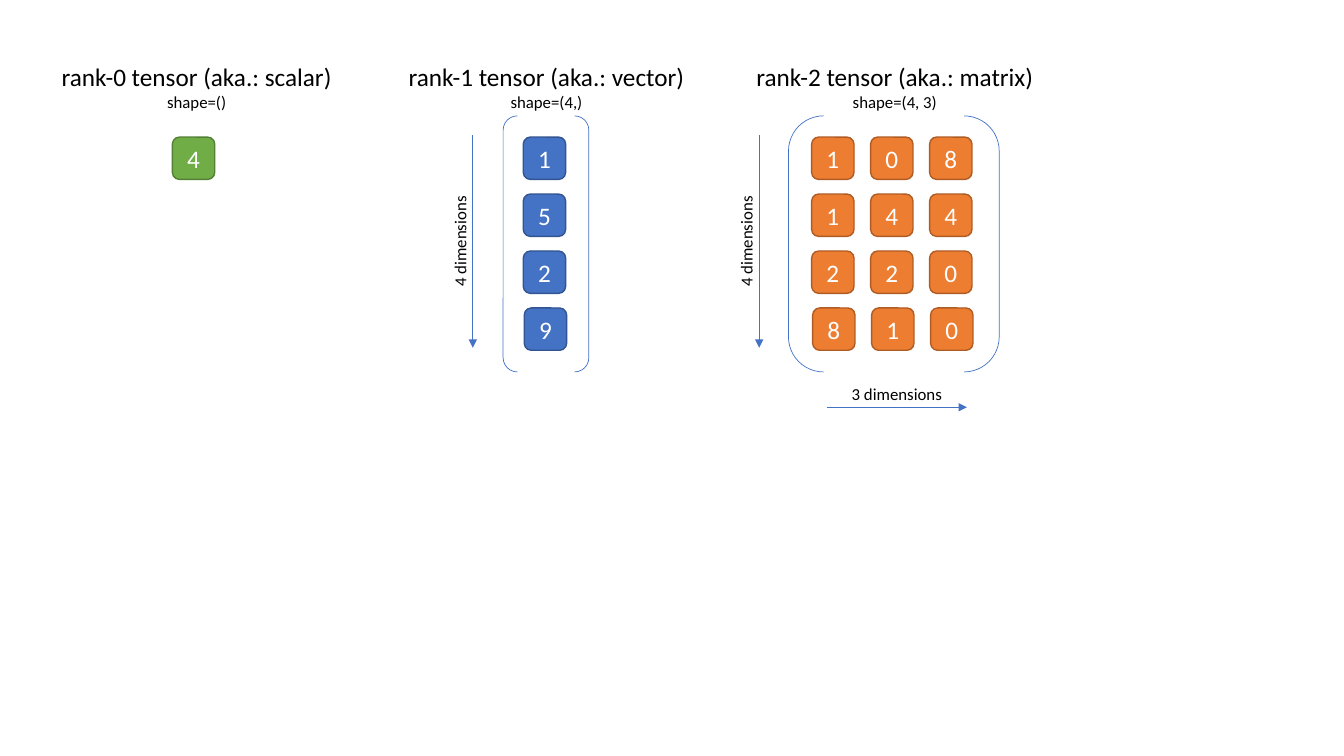
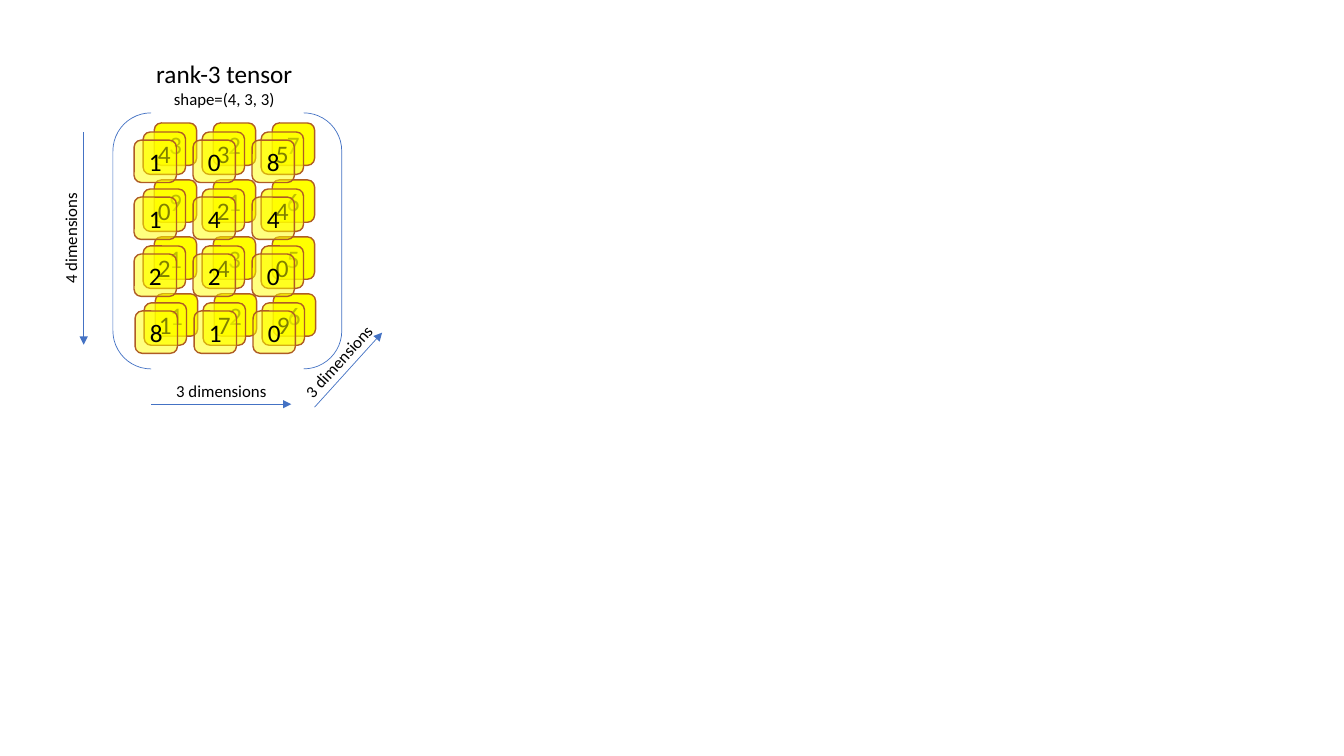
from math import atan2, cos, degrees, sin

from lxml import etree
from pptx import Presentation
from pptx.dml.color import RGBColor
from pptx.enum.shapes import MSO_CONNECTOR, MSO_SHAPE
from pptx.enum.text import MSO_ANCHOR, MSO_AUTO_SIZE, PP_ALIGN
from pptx.oxml.ns import qn
from pptx.util import Inches, Pt

ROUND = MSO_SHAPE.ROUNDED_RECTANGLE
BRACKET = MSO_SHAPE.DOUBLE_BRACKET
STRAIGHT = MSO_CONNECTOR.STRAIGHT
TOP, MIDDLE = MSO_ANCHOR.TOP, MSO_ANCHOR.MIDDLE
FIT = MSO_AUTO_SIZE.SHAPE_TO_FIT_TEXT
CENTER = PP_ALIGN.CENTER

BLACK = RGBColor(0x00, 0x00, 0x00)
WHITE = RGBColor(0xFF, 0xFF, 0xFF)
BLUE = RGBColor(0x44, 0x72, 0xC4)
NAVY = RGBColor(0x32, 0x54, 0x91)
GREEN = RGBColor(0x70, 0xAD, 0x47)
MOSS = RGBColor(0x53, 0x80, 0x35)
ORANGE = RGBColor(0xED, 0x7D, 0x31)
RUST = RGBColor(0xAF, 0x5C, 0x24)
YELLOW = RGBColor(0xFF, 0xFF, 0x00)

FONT = "Calibri"
BIG, SMALL = 18, 12
CELL = 0.42
PITCH_X, PITCH_Y = 0.585, 0.565
NUDGE = 0.01
LABEL_W, LABEL_H, LABEL_GAP = 1.11, 0.3, 0.13
HEAD_H = 0.61

FRONT = ["108", "144", "220", "810"]

SLIDES = [
    [
        {
            "head": ("rank-0 tensor (aka.: scalar)", "shape=()"),
            "box": (0.49, 0.56, 2.92),
            "style": (GREEN, MOSS, WHITE),
            "layers": [(1.71, 1.36, 100, ["4"])],
            "bracket": None,
            "arrows": [],
        },
        {
            "head": ("rank-1 tensor (aka.: vector)", "shape=(4,)"),
            "box": (3.93, 0.56, 2.98),
            "style": (BLUE, NAVY, WHITE),
            "layers": [(5.19, 1.36, 100, ["1", "5", "2", "9"])],
            "bracket": (4.99, 1.15, 0.85, 2.54),
            "arrows": [("4 dimensions", 4.69, 1.34, 4.69, 3.45)],
        },
        {
            "head": ("rank-2 tensor (aka.: matrix)", "shape=(4, 3)"),
            "box": (7.38, 0.56, 2.99),
            "style": (ORANGE, RUST, WHITE),
            "layers": [(8.05, 1.36, 100, FRONT)],
            "bracket": (7.82, 1.15, 2.09, 2.54),
            "arrows": [
                ("4 dimensions", 7.53, 1.34, 7.53, 3.45),
                ("3 dimensions", 8.2, 4.04, 9.59, 4.04),
            ],
        },
    ],
    [
        {
            "head": ("rank-3 tensor", "shape=(4, 3, 3)"),
            "box": (1.41, 0.53, 1.63),
            "style": (YELLOW, RUST, BLACK),
            "layers": [
                (1.53, 1.22, 100, ["327", "916", "135", "126"]),
                (1.42, 1.31, 74, ["435", "024", "240", "179"]),
                (1.33, 1.39, 50, FRONT),
            ],
            "bracket": (1.12, 1.12, 2.27, 2.54),
            "arrows": [
                ("4 dimensions", 0.83, 1.31, 0.83, 3.42),
                ("3 dimensions", 1.5, 4.01, 2.89, 4.01),
                ("3 dimensions", 3.12, 4.04, 3.79, 3.3),
            ],
        },
    ],
]


def assign(item, values):
    for name, value in values.items():
        setattr(item, name, value)


def place(shape, *box):
    names = ("left", "top", "width", "height")
    assign(shape, dict(zip(names, map(Inches, box))))


def write(shape, lines, color=BLACK, **frame):
    text = shape.text_frame
    text.text = "\n".join(line for line, size in lines)
    assign(text, frame)
    for para, (line, size) in zip(text.paragraphs, lines):
        para.alignment = CENTER
        font = para.runs[0].font
        assign(font, {"name": FONT, "size": Pt(size)})
        font.color.rgb = color


def stroke(shape, color, width):
    shape.line.color.rgb = color
    shape.line.width = Pt(width)


def add_layer(slide, left, top, alpha, rows, style):
    fill, edge, ink = style
    group = slide.shapes.add_group_shape()
    for row, digits in enumerate(rows):
        shift = NUDGE if row == 3 else 0
        for col, digit in enumerate(digits):
            x = left + col * PITCH_X + shift
            y = top + row * PITCH_Y
            cell = group.shapes.add_shape(
                ROUND, Inches(x), Inches(y), Inches(CELL), Inches(CELL))
            cell.shadow.inherit = False
            cell.fill.solid()
            cell.fill.fore_color.rgb = fill
            if alpha < 100:
                tint = cell._element.spPr.find(".//" + qn("a:srgbClr"))
                etree.SubElement(tint, qn("a:alpha"), val=str(alpha * 1000))
            stroke(cell, edge, 1)
            write(cell, [(digit, BIG)], ink, vertical_anchor=MIDDLE)


def add_bracket(slide, box):
    shape = slide.shapes.add_shape(BRACKET, *map(Inches, box))
    shape.shadow.inherit = False
    shape.fill.background()
    stroke(shape, BLUE, 0.5)


def add_arrow(slide, label, x1, y1, x2, y2):
    line = slide.shapes.add_connector(
        STRAIGHT, *map(Inches, (x1, y1, x2, y2)))
    stroke(line, BLUE, 0.5)
    etree.SubElement(line.line._get_or_add_ln(), qn("a:tailEnd"),
                     type="triangle")
    etree.SubElement(line._element.spPr, qn("a:effectLst"))

    angle = atan2(-abs(y2 - y1), x2 - x1)
    x = (x1 + x2) / 2 + LABEL_GAP * sin(angle)
    y = (y1 + y2) / 2 - LABEL_GAP * cos(angle)
    box = (x - LABEL_W / 2, y - LABEL_H / 2, LABEL_W, LABEL_H)
    note = slide.shapes.add_textbox(*map(Inches, box))
    write(note, [(label, SMALL)], word_wrap=False, auto_size=FIT)
    note.rotation = degrees(angle) % 360


def add_head(slide, panel, first):
    if first:
        shape = slide.shapes.title
    else:
        shape = slide.shapes.add_textbox(0, 0, 0, 0)
    place(shape, *panel["box"], HEAD_H)
    write(shape, list(zip(panel["head"], (BIG, SMALL))),
          word_wrap=False, auto_size=FIT, vertical_anchor=TOP)


def main():
    deck = Presentation()
    assign(deck, {"slide_width": Inches(13.33), "slide_height": Inches(7.5)})
    for panels in SLIDES:
        slide = deck.slides.add_slide(deck.slide_layouts[5])
        for order, panel in enumerate(panels):
            add_head(slide, panel, order == 0)
            for layer in panel["layers"]:
                add_layer(slide, *layer, panel["style"])
            if panel["bracket"]:
                add_bracket(slide, panel["bracket"])
            for arrow in panel["arrows"]:
                add_arrow(slide, *arrow)
    deck.save("out.pptx")


if __name__ == "__main__":
    main()
